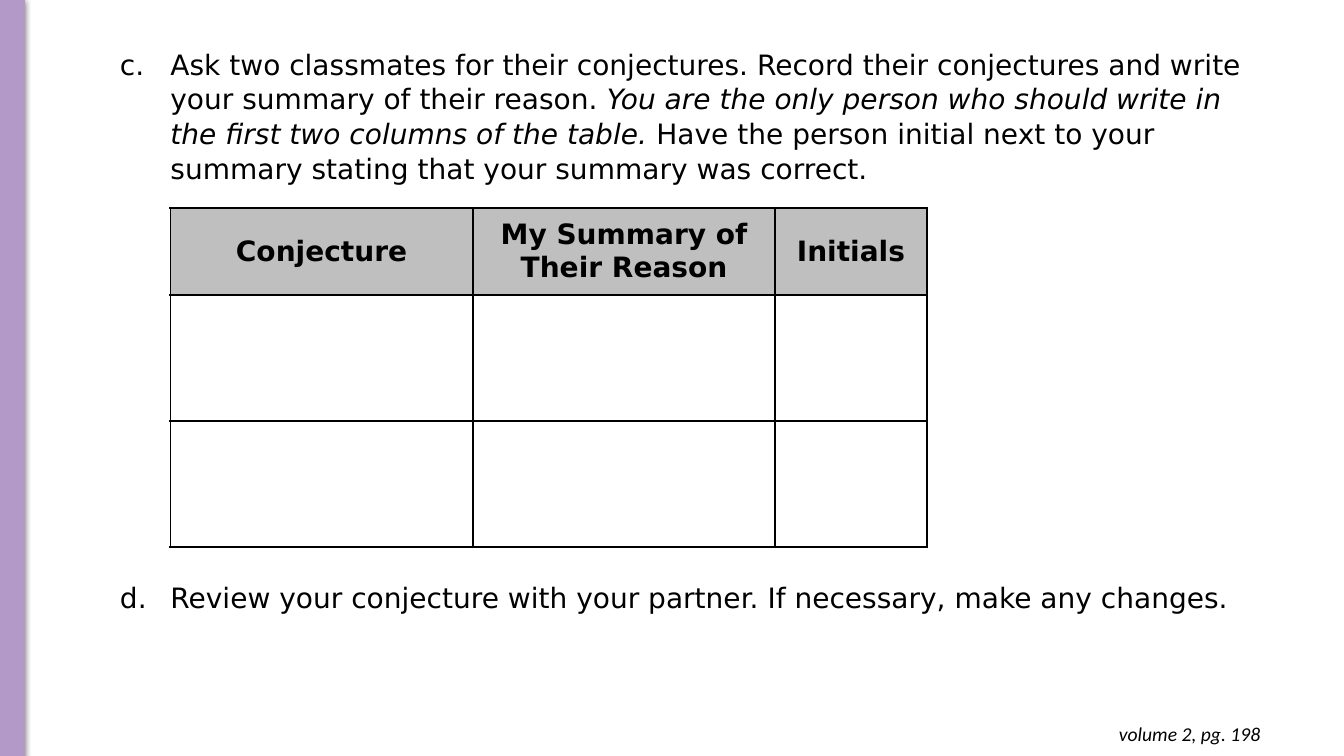
from dataclasses import dataclass

from lxml import etree
from pptx import Presentation
from pptx.dml.color import RGBColor
from pptx.enum.shapes import MSO_SHAPE
from pptx.enum.text import MSO_ANCHOR, MSO_AUTO_SIZE, PP_ALIGN
from pptx.oxml.ns import qn
from pptx.util import Emu, Pt

RECTANGLE = MSO_SHAPE.RECTANGLE
MIDDLE, TOP = MSO_ANCHOR.MIDDLE, MSO_ANCHOR.TOP
CENTER, LEFT, RIGHT = PP_ALIGN.CENTER, PP_ALIGN.LEFT, PP_ALIGN.RIGHT
NO_AUTOFIT = MSO_AUTO_SIZE.NONE
EMU_PER_PX = 9144


@dataclass(frozen=True)
class Theme:
    bar: str = "B399C8"
    ink: str = "000000"
    header: str = "BFBFBF"
    body_font: str = "DejaVu Sans"
    note_font: str = "Calibri"
    body_size: int = 20
    note_size: int = 14
    border: float = 1.5


@dataclass(frozen=True)
class Box:
    left: int
    top: int
    width: int
    height: int

    def emu(self) -> tuple[Emu, Emu, Emu, Emu]:
        return px(self.left), px(self.top), px(self.width), px(self.height)


@dataclass(frozen=True)
class Phrase:
    text: str
    italic: bool = False
    bold: bool = False


@dataclass(frozen=True)
class Step:
    phrases: tuple[Phrase, ...]
    space_before: int = 0


@dataclass(frozen=True)
class Column:
    heading: str
    width: int


THEME = Theme()
STEPS = (
    Step((
        Phrase("Ask two classmates for their conjectures. Record their conjectures "
               "and write your summary of their reason. "),
        Phrase("You are the only person who should write in the first two columns "
               "of the table.", italic=True),
        Phrase(" Have the person initial next to your summary stating that your "
               "summary was correct."),
    )),
    Step((Phrase("Review your conjecture with your partner. If necessary, make any "
                 "changes."),), space_before=282),
)
COLUMNS = (
    Column("Conjecture", 300),
    Column("My Summary of Their Reason", 300),
    Column("Initials", 150),
)
ROW_HEIGHTS = (87, 125, 125)


def px(length: int) -> Emu:
    return Emu(length * EMU_PER_PX)


def rgb(color: str) -> RGBColor:
    return RGBColor.from_string(color)


def add_phrase(paragraph, phrase: Phrase, font: str, size: int) -> None:
    run = paragraph.add_run()
    run.text = phrase.text
    run.font.name = font
    run.font.size = Pt(size)
    run.font.bold = phrase.bold
    run.font.italic = phrase.italic
    run.font.color.rgb = rgb(THEME.ink)


def add_solid(parent, color: str) -> None:
    solid = etree.SubElement(parent, qn("a:solidFill"))
    etree.SubElement(solid, qn("a:srgbClr"), val=color)


def set_margins(holder, margin: int) -> None:
    holder.margin_left = holder.margin_right = px(margin)
    holder.margin_top = holder.margin_bottom = px(margin)


def draw_side_bar(slide, box: Box) -> None:
    bar = slide.shapes.add_shape(RECTANGLE, *box.emu())
    bar.fill.solid()
    bar.fill.fore_color.rgb = rgb(THEME.bar)
    bar.line.color.rgb = rgb(THEME.bar)
    bar.line.width = Pt(0.75)
    bar.shadow.inherit = False
    effects = bar._element.spPr.find(qn("a:effectLst"))
    shadow = etree.SubElement(effects, qn("a:outerShdw"), blurRad=str(Pt(4.5)),
                              dist=str(Pt(1.5)), dir="5400000", rotWithShape="0")
    tint = etree.SubElement(shadow, qn("a:srgbClr"), val=THEME.ink)
    etree.SubElement(tint, qn("a:alpha"), val="50000")


def number_step(paragraph) -> None:
    properties = paragraph._p.get_or_add_pPr()
    properties.set("marL", str(px(100)))
    properties.set("indent", str(px(-50)))
    color = etree.SubElement(properties, qn("a:buClr"))
    etree.SubElement(color, qn("a:srgbClr"), val=THEME.ink)
    etree.SubElement(properties, qn("a:buFont"), typeface=THEME.body_font)
    etree.SubElement(properties, qn("a:buAutoNum"), type="alphaLcPeriod", startAt="3")


def write_steps(instructions, box: Box) -> None:
    (instructions.left, instructions.top,
     instructions.width, instructions.height) = box.emu()
    frame = instructions.text_frame
    frame.word_wrap = True
    frame.auto_size = NO_AUTOFIT
    frame.vertical_anchor = TOP
    frame.margin_left = frame.margin_right = px(10)
    frame.margin_top = frame.margin_bottom = px(5)
    for index, step in enumerate(STEPS):
        paragraph = frame.add_paragraph() if index else frame.paragraphs[0]
        number_step(paragraph)
        paragraph.alignment = LEFT
        paragraph.line_spacing = 1.03
        paragraph.space_before = Pt(step.space_before)
        paragraph.space_after = Pt(0)
        for phrase in step.phrases:
            add_phrase(paragraph, phrase, THEME.body_font, THEME.body_size)


def border_cell(cell) -> None:
    properties = cell._tc.get_or_add_tcPr()
    for side in ("a:lnL", "a:lnR", "a:lnT", "a:lnB"):
        edge = etree.SubElement(properties, qn(side), w=str(Pt(THEME.border)))
        add_solid(edge, THEME.ink)


def draw_conjecture_table(slide, left: int, top: int) -> None:
    box = Box(left, top, sum(column.width for column in COLUMNS), sum(ROW_HEIGHTS))
    table = slide.shapes.add_table(len(ROW_HEIGHTS), len(COLUMNS), *box.emu()).table
    table.first_row = table.horz_banding = False
    for row, height in zip(table.rows, ROW_HEIGHTS):
        row.height = px(height)
    for index, column in enumerate(COLUMNS):
        table.columns[index].width = px(column.width)
    for cell in table.iter_cells():
        border_cell(cell)
        cell.fill.background()
    for index, column in enumerate(COLUMNS):
        heading = table.cell(0, index)
        heading.fill.solid()
        heading.fill.fore_color.rgb = rgb(THEME.header)
        heading.vertical_anchor = MIDDLE
        set_margins(heading, 10)
        paragraph = heading.text_frame.paragraphs[0]
        paragraph.alignment = CENTER
        add_phrase(paragraph, Phrase(column.heading, bold=True),
                   THEME.body_font, THEME.body_size)


def write_page_reference(slide, box: Box) -> None:
    frame = slide.shapes.add_textbox(*box.emu()).text_frame
    frame.word_wrap = True
    set_margins(frame, 10)
    paragraph = frame.paragraphs[0]
    paragraph.alignment = RIGHT
    add_phrase(paragraph, Phrase("volume 2, pg. 198", italic=True),
               THEME.note_font, THEME.note_size)


def main() -> None:
    deck = Presentation()
    deck.slide_width, deck.slide_height = px(1333), px(750)
    slide = deck.slides.add_slide(deck.slide_layouts[1])
    heading = slide.shapes.title._element
    heading.getparent().remove(heading)
    draw_side_bar(slide, Box(0, -1, 24, 751))
    write_steps(slide.placeholders[1], Box(59, 41, 1201, 574))
    draw_conjecture_table(slide, 169, 206)
    write_page_reference(slide, Box(972, 706, 288, 44))
    deck.save("out.pptx")


if __name__ == "__main__":
    main()
